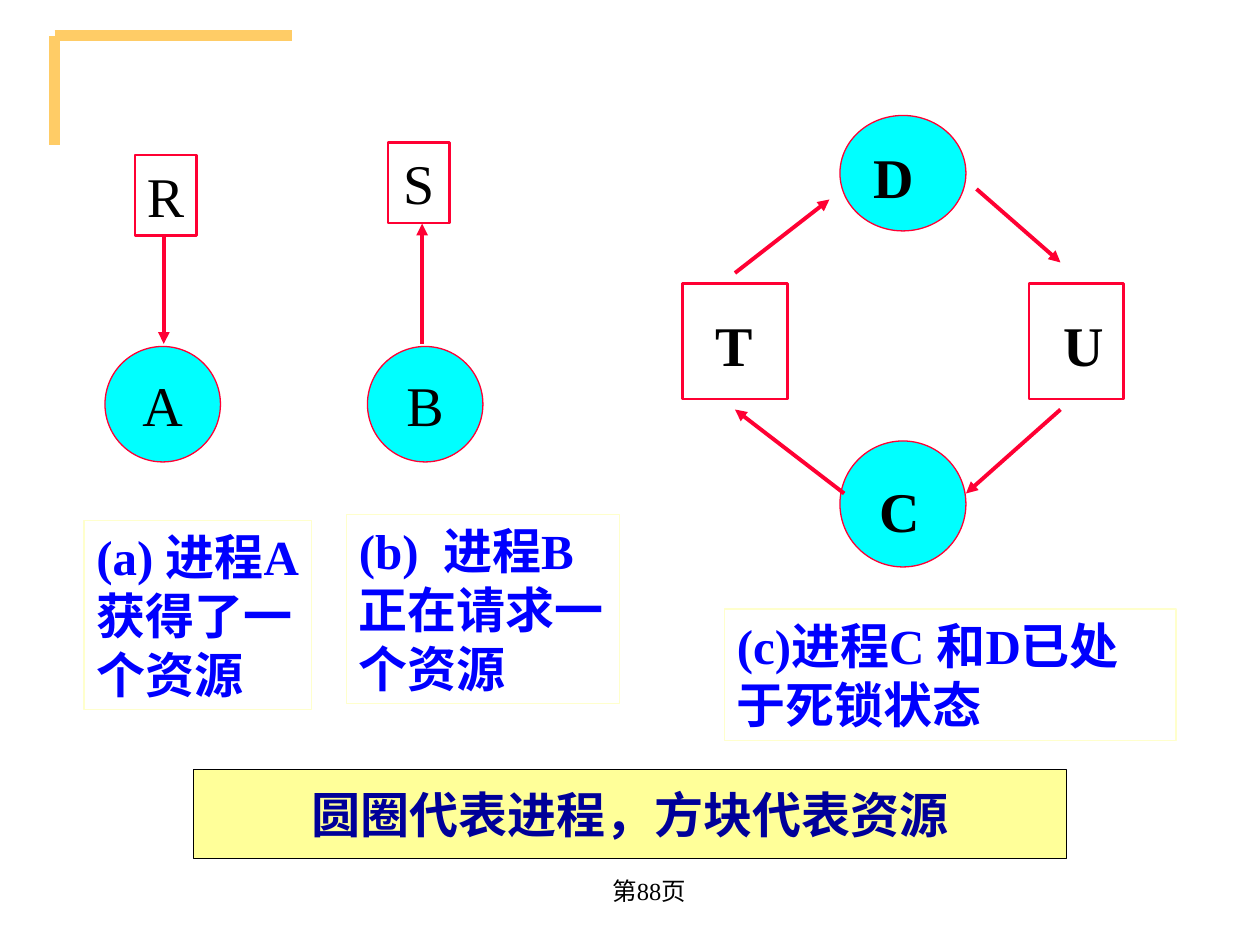
from lxml import etree
from pptx import Presentation
from pptx.dml.color import RGBColor
from pptx.enum.shapes import MSO_CONNECTOR, MSO_SHAPE
from pptx.enum.text import MSO_ANCHOR, PP_ALIGN
from pptx.oxml.ns import qn
from pptx.util import Inches, Pt

STRAIGHT = MSO_CONNECTOR.STRAIGHT
OVAL, RECT = MSO_SHAPE.OVAL, MSO_SHAPE.RECTANGLE
LEFT, CENTER = PP_ALIGN.LEFT, PP_ALIGN.CENTER
TOP, MIDDLE = MSO_ANCHOR.TOP, MSO_ANCHOR.MIDDLE

CELLS_PER_INCH = 12
LATIN, EAST_ASIAN = "Times New Roman", "Noto Sans CJK SC"
RED, CYAN, WHITE, BLACK = "FF0033", "00FFFF", "FFFFFF", "000000"
GOLD, CREAM, YELLOW = "FFCC66", "FFFFCC", "FFFF99"
BLUE, NAVY = "0000FF", "000099"


def cells(count):
    return Inches(count / CELLS_PER_INCH)


def color(value):
    return RGBColor.from_string(value)


def within(box, left, top, *size):
    return (box[0] + left, box[1] + top, *size)


def write(holder, text, size, ink=BLACK, bold=False, align=LEFT, anchor=TOP, wrap=True):
    frame = holder.text_frame
    frame.word_wrap = wrap
    frame.vertical_anchor = anchor
    paragraph = frame.paragraphs[0]
    paragraph.text = text
    paragraph.alignment = align
    font = paragraph.font
    font.name, font.size, font.bold = LATIN, Pt(size), bold
    font.color.rgb = color(ink)
    defaults = paragraph._p.pPr.find(qn("a:defRPr"))
    etree.SubElement(defaults, qn("a:ea")).set("typeface", EAST_ASIAN)


def add_node(slide, kind, box, fill, edge=RED, width=0.75):
    node = slide.shapes.add_shape(kind, *map(cells, box))
    node.shadow.inherit = False
    node.fill.solid()
    node.fill.fore_color.rgb = color(fill)
    node.line.color.rgb = color(edge)
    node.line.width = Pt(width)
    return node


def add_process(slide, box):
    return add_node(slide, OVAL, box, CYAN)


def add_resource(slide, box):
    return add_node(slide, RECT, box, WHITE, width=1.5)


def add_text(slide, box, text, size, **style):
    holder = slide.shapes.add_textbox(*map(cells, box))
    write(holder, text, size, **style)
    return holder


def add_caption(slide, box, text):
    caption = add_text(slide, box, text, 28, ink=BLUE, bold=True)
    caption.line.color.rgb = color(CREAM)
    caption.line.width = Pt(0.75)


def add_line(slide, start, end, ink, width):
    line = slide.shapes.add_connector(STRAIGHT, *map(cells, start + end))
    line.line.color.rgb = color(ink)
    line.line.width = Pt(width)
    etree.SubElement(line._element.spPr, qn("a:effectLst"))
    return line


def add_arrow(slide, start, end):
    arrow = add_line(slide, start, end, RED, 2.25)
    outline = arrow.line._get_or_add_ln()
    etree.SubElement(outline, qn("a:tailEnd")).set("type", "triangle")


def draw_corner(slide, box):
    left, top, width, height = box
    add_line(slide, (left, top), (left + width, top), GOLD, 6)
    add_line(slide, (left, top), (left, top + height), GOLD, 6)


def draw_allocation(slide, box, resource, process, granted, resource_at, arrow_left,
                    caption, caption_top):
    resource_box = within(box, *resource_at, 5.85, 7.7)
    write(add_resource(slide, resource_box), resource, 32, align=CENTER, wrap=False)
    circle = add_process(slide, within(box, 2, 20, 11, 11))
    write(circle, process, 32, align=CENTER, anchor=MIDDLE, wrap=False)
    upper = (box[0] + arrow_left, resource_box[1] + 7.75)
    lower = within(box, arrow_left, 19.75)
    add_arrow(slide, *((upper, lower) if granted else (lower, upper)))
    add_caption(slide, within(box, 0, caption_top, box[2], 18), caption)


def draw_deadlock(slide, box, caption):
    nodes = [
        (add_process, (15, 0, 12, 11), "D", (17, 2)),
        (add_process, (15, 31, 12, 12), "C", (17.6, 33.8)),
        (add_resource, (0, 16, 10, 11), "T", (2, 18)),
        (add_resource, (33, 16, 9, 11), "U", (35.1, 18)),
    ]
    for add, place, name, name_at in nodes:
        add(slide, within(box, *place))
        add_text(slide, within(box, *name_at, 6.3, 7.7), name, 32, bold=True, wrap=False)
    arrows = [
        ((5, 15), (14, 8)),
        ((28, 7), (36, 14)),
        ((36, 28), (27, 36)),
        ((15.4, 36), (5, 28)),
    ]
    for start, end in arrows:
        add_arrow(slide, within(box, *start), within(box, *end))
    add_caption(slide, within(box, 4, 47, 43, 12.5), caption)


def draw_legend(slide, box, text):
    banner = add_node(slide, RECT, box, YELLOW, BLACK)
    write(banner, text, 28, ink=NAVY, bold=True, align=CENTER, anchor=MIDDLE, wrap=False)


def draw_page_number(slide, box, text):
    add_text(slide, box, text, 14, align=CENTER, anchor=MIDDLE)


def main():
    deck = Presentation()
    deck.slide_width, deck.slide_height = cells(120), cells(90)
    slide = deck.slides.add_slide(deck.slide_layouts[6])
    draw_corner(slide, (5.2, 3.4, 22.6, 10.4))
    draw_page_number(slide, (49.6, 81.8, 25, 6), "第88页 ")
    draw_deadlock(slide, (65, 11, 47, 60), "(c)进程C 和D已处于死锁状态")
    draw_legend(slide, (18.4, 73.3, 83.2, 8.5), "圆圈代表进程，方块代表资源")
    draw_allocation(slide, (8, 13, 21.7, 55), "R", "A", True, (4.85, 1.75), 7.6,
                    "(a) 进程A获得了一个资源", 36.6)
    draw_allocation(slide, (33, 13, 26, 55), "S", "B", False, (3.95, 0.55), 7.2,
                    "(b)  进程B 正在请求一个资源", 36)
    deck.save("out.pptx")


if __name__ == "__main__":
    main()
